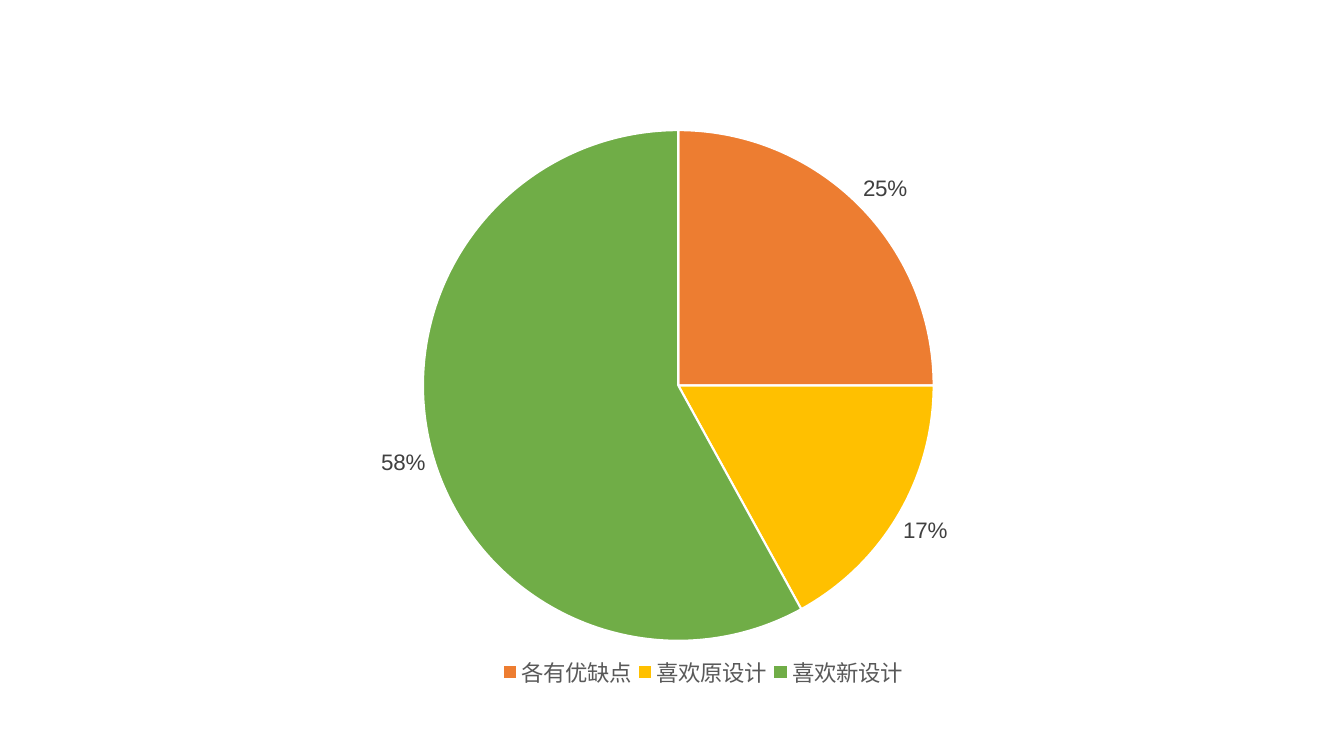
from dataclasses import dataclass

from lxml.etree import SubElement
from pptx import Presentation
from pptx.chart.data import CategoryChartData as ChartData
from pptx.dml.color import RGBColor as RGB
from pptx.enum.chart import XL_CHART_TYPE as ChartType
from pptx.enum.chart import XL_LABEL_POSITION as LabelPosition
from pptx.enum.chart import XL_LEGEND_POSITION as LegendPosition
from pptx.oxml.ns import qn
from pptx.util import Pt


@dataclass(frozen=True)
class Theme:
    face: str = "Arial"
    size: int = 16
    label: str = "404040"
    legend: str = "595959"
    border: str = "FFFFFF"


THEME = Theme()
PREFERENCES = [
    ("各有优缺点", 0.25, "ED7D31"),
    ("喜欢原设计", 0.17, "FFC000"),
    ("喜欢新设计", 0.58, "70AD47"),
]


def apply(target, settings):
    for key, value in settings.items():
        setattr(target, key, value)


def style_font(font, color):
    apply(font, {"name": THEME.face, "size": Pt(THEME.size), "bold": False})
    font.color.rgb = RGB.from_string(color)


def place(element, index, settings):
    for previous in element.findall(qn("c:layout")):
        element.remove(previous)
    layout = SubElement(element, qn("c:layout"))
    manual = SubElement(layout, qn("c:manualLayout"))
    for key, value in settings.items():
        SubElement(manual, qn(f"c:{key}")).set("val", str(value))
    element.insert(index, layout)


def add_preference_pie(slide, left, top, width, height):
    survey = ChartData(number_format="0%")
    survey.categories = [name for name, share, color in PREFERENCES]
    survey.add_series("Series 1", [share for name, share, color in PREFERENCES])
    box = [Pt(length) for length in (left, top, width, height)]
    chart = slide.shapes.add_chart(ChartType.PIE, *box, survey).chart
    apply(chart, {"has_title": False, "has_legend": True})
    style_font(chart.font, THEME.label)

    legend = chart.legend
    apply(legend, {"position": LegendPosition.BOTTOM, "include_in_layout": False})
    style_font(legend.font, THEME.legend)

    pie = chart.plots[0]
    apply(pie, {"vary_by_categories": True, "has_data_labels": True})
    shares = pie.data_labels
    apply(shares, {
        "show_value": True,
        "show_percentage": False,
        "number_format": "0%",
        "number_format_is_linked": False,
        "position": LabelPosition.OUTSIDE_END,
    })
    style_font(shares.font, THEME.label)

    for index, (name, share, color) in enumerate(PREFERENCES):
        slice_format = pie.series[0].points[index].format
        slice_format.fill.solid()
        slice_format.fill.fore_color.rgb = RGB.from_string(color)
        slice_format.line.color.rgb = RGB.from_string(THEME.border)
        slice_format.line.width = Pt(1.5)

    edges = {"xMode": "edge", "yMode": "edge"}
    plot_area = chart.element.find(f".//{qn('c:plotArea')}")
    place(plot_area, 0, {
        "layoutTarget": "inner", **edges,
        "x": 0.145, "y": 0.024, "w": 0.73, "h": 0.868,
    })
    legend_area = chart.element.find(f".//{qn('c:legend')}")
    place(legend_area, 1, {**edges, "x": 0.25, "y": 0.91, "w": 0.59, "h": 0.07})


def main():
    deck = Presentation()
    apply(deck, {"slide_width": Pt(960), "slide_height": Pt(540)})
    slide = deck.slides.add_slide(deck.slide_layouts[6])
    add_preference_pie(slide, 229.7, 82.8, 499.7, 420.5)
    deck.save("out.pptx")


if __name__ == "__main__":
    main()
